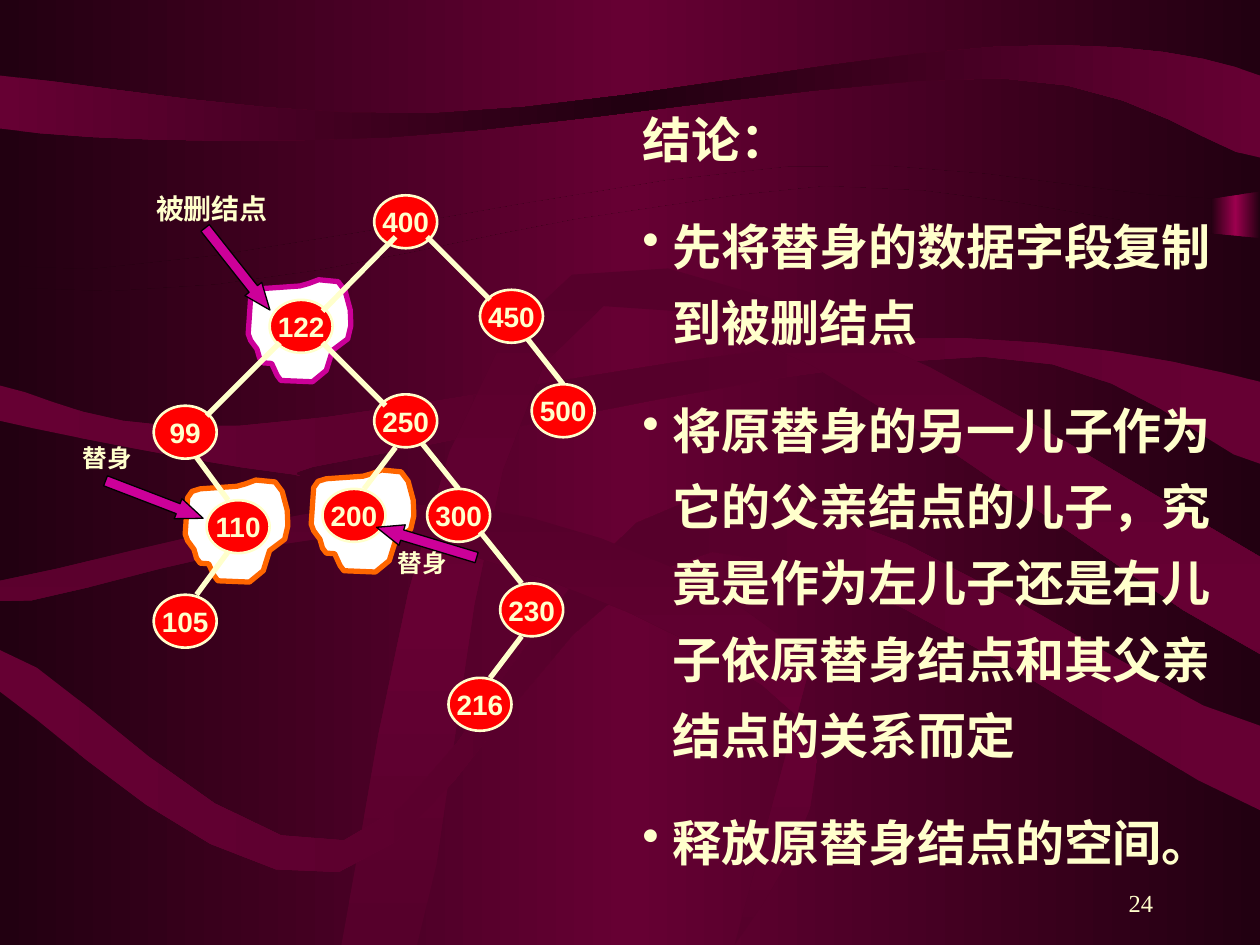
"""Build a slide on deleting a node with two sons from a binary search tree."""
import copy
from dataclasses import dataclass
from typing import NamedTuple, Optional

import lxml.etree
import pptx
import pptx.dml.color
import pptx.enum.shapes
import pptx.enum.text
import pptx.oxml.ns
import pptx.util

Inches = pptx.util.Inches
Pt = pptx.util.Pt
RGBColor = pptx.dml.color.RGBColor
Kind = pptx.enum.shapes.MSO_SHAPE
Align = pptx.enum.text.PP_ALIGN
Anchor = pptx.enum.text.MSO_ANCHOR
qn = pptx.oxml.ns.qn

DARK = RGBColor(0x22, 0x00, 0x11)
WINE = RGBColor(0x66, 0x00, 0x33)
PLUM = RGBColor(0x56, 0x00, 0x2B)
ROSE = RGBColor(0x9C, 0x00, 0x4E)
CREAM = RGBColor(0xFF, 0xFF, 0xCC)
RED = RGBColor(0xFF, 0x00, 0x00)
PINK = RGBColor(0xCC, 0x00, 0x99)
ORANGE = RGBColor(0xFF, 0x66, 0x00)
WHITE = RGBColor(0xFF, 0xFF, 0xFF)
BLACK = RGBColor(0x00, 0x00, 0x00)


@dataclass
class Band:
    """A background ribbon: its steps are line ends (2 numbers) or cubics (6)."""
    steps: list
    edge: RGBColor
    core: RGBColor
    angle: int = 0


class Cloud(NamedTuple):
    x: float
    y: float
    color: RGBColor


class Node(NamedTuple):
    key: str
    x: float
    y: float


class Edge(NamedTuple):
    x1: float
    y1: float
    x2: float
    y2: float


class Arrow(NamedTuple):
    x: float
    y: float
    turn: float


class Label(NamedTuple):
    text: str
    x: float
    y: float
    wide: float
    high: float
    size: int
    before: float
    face: str = "Arial"
    bold: bool = True
    align: Optional[Align] = None
    anchor: Anchor = Anchor.TOP


BANDS = [
    Band([(0, 0), (10, 0), (10, 1.52), (9.38, 1.74, 7.92, 1.22, 6.25, 1.32),
          (4.58, 1.42, 1.04, 2.33, 0, 2.11)], DARK, WINE),
    Band([(0, 2.28), (1.78, 2.45, 3.4, 1.94, 4.58, 1.74), (5.86, 1.55),
          (7.15, 1.27, 9.17, 1.89, 10, 1.89), (10, 7.5), (0, 7.5)], DARK, WINE),
    Band([(0, 0.6), (0, 1.02), (0.51, 1.1, 1.76, 1.15, 3.08, 1.09),
          (4.4, 1.02, 6.79, 0.6, 7.94, 0.62), (9.09, 0.65, 9.66, 1.25, 10, 1.25),
          (10, 0.6), (9.65, 0.46, 9.01, 0.32, 7.92, 0.37),
          (6.82, 0.42, 4.77, 0.86, 3.45, 0.9), (2.13, 0.94, 0.72, 0.66, 0, 0.6)], WINE, DARK),
    Band([(0, 3.06), (0, 3.34), (0.37, 3.43, 1.75, 3.7, 2.22, 3.75),
          (2.69, 3.8, 1.9, 3.79, 2.82, 3.64), (3.75, 3.48, 6.6, 2.82, 7.8, 2.83),
          (9, 2.83, 9.63, 3.65, 10, 3.68), (10, 3.03), (9.5, 2.9, 8.36, 2.63, 7.01, 2.69),
          (5.66, 2.74, 3.07, 3.32, 1.9, 3.38), (0.73, 3.44, 0.4, 3.13, 0, 3.06)], WINE, PLUM),
    Band([(2.71, 7.5), (2.91, 6.61, 3.32, 2.69, 4.54, 2.18), (5.75, 1.66, 9.09, 3.92, 10, 4.42),
          (10, 5.19), (9.13, 4.85, 5.91, 2.05, 4.79, 2.43),
          (3.68, 2.82, 3.66, 6.66, 3.31, 7.5)], PLUM, WINE, 90),
    Band([(0, 5.16), (0, 5.49), (0.45, 5.78, 1.74, 7.11, 2.69, 6.92),
          (3.63, 6.74, 4.43, 4.46, 5.65, 4.38), (6.87, 4.29, 9.27, 6.2, 10, 6.43),
          (10, 5.76), (9.38, 5.72, 6.91, 3.77, 5.62, 3.91),
          (4.41, 4.06, 3.67, 6.46, 2.73, 6.67), (1.79, 6.87, 0.45, 5.2, 0, 5.16)], WINE, PLUM),
    Band([(0, 4.61), (0, 4.77), (0.26, 4.89, 2.08, 4.13, 3.14, 4.28),
          (4.2, 4.44, 5.92, 5.18, 6.37, 5.72), (6.82, 6.25, 5.82, 7.5, 5.83, 7.5),
          (6.42, 5.32), (6.06, 4.74, 4.73, 4.13, 3.66, 4.01),
          (2.59, 3.89, 0.76, 4.48, 0, 4.61)], PLUM, WINE, 90),
]
PUFF = [(.12, .67), (.09, .63), (.07, .56), (.01, .47, .02, .51, 0, .44), (.02, .15),
        (.02, .11, .08, .08, .12, .08), (.41, .06), (.48, .04), (.56, .01),
        (.79, .03, .67, 0, .77, .1), (.81, .25), (.81, .33, .83, .42, .79, .48),
        (.67, .57), (.62, .73), (.51, .82), (.26, .81), (.23, .77),
        (.22, .75, .16, .57, .12, .67)]
CLOUDS = [Cloud(1.47, 3.8, ORANGE), Cloud(2.47, 3.72, ORANGE), Cloud(1.97, 2.21, PINK)]
BACK = [Edge(3.31, 3.47, 3.64, 3.88), Edge(4.14, 2.63, 4.47, 3.05)]
NODES = [Node("122", 2.14, 2.38), Node("250", 2.97, 3.13), Node("300", 3.39, 3.88),
         Node("110", 1.64, 3.97), Node("200", 2.56, 3.88), Node("99", 1.22, 3.22),
         Node("105", 1.22, 4.72), Node("230", 3.97, 4.63), Node("216", 3.56, 5.38),
         Node("400", 2.97, 1.55), Node("450", 3.81, 2.3), Node("500", 4.22, 3.05)]
FRONT = [Edge(2.22, 2.72, 1.64, 3.3), Edge(2.56, 2.72, 3.06, 3.22),
         Edge(3.14, 3.55, 2.89, 3.88), Edge(1.56, 3.63, 1.81, 3.97),
         Edge(1.81, 4.38, 1.56, 4.72), Edge(3.81, 4.22, 4.14, 4.63),
         Edge(4.14, 5.05, 3.89, 5.38), Edge(3.14, 1.88, 2.56, 2.47),
         Edge(3.39, 1.88, 3.89, 2.38)]
ARROWS = [Arrow(1.47, 2.05, 51.7), Arrow(0.81, 3.88, 21), Arrow(2.97, 4.22, 196.8)]
LABELS = [Label("24", 7.17, 6.83, 2.08, 0.5, 14, 8.8, "Times New Roman", False,
                Align.RIGHT, Anchor.BOTTOM),
          Label("被删结点", 1.14, 1.47, 1.33, 0.37, 16, 10),
          Label("替身", 0.56, 3.47, 0.75, 0.34, 14, 8.8),
          Label("替身", 3.06, 4.3, 0.75, 0.34, 14, 8.8)]
NOTES = Label("结论：\n先将替身的数据字段复制到被删结点\n"
              "将原替身的另一儿子作为它的父亲结点的儿子，究竟是作为左儿子还是右儿子"
              "依原替身结点和其父亲结点的关系而定\n释放原替身结点的空间。",
              5, 0.68, 4.8, 6.29, 28, 17.5)


def shade(fill, root, edge: RGBColor, core: RGBColor, angle: int = 0) -> None:
    fill.gradient()
    fill.gradient_angle = angle
    first = next(root.iter(qn("a:gs")))
    first.addnext(copy.deepcopy(first))
    for stop, place, color in zip(fill.gradient_stops, (0, 0.5, 1), (edge, core, edge)):
        stop.position = place
        stop.color.rgb = color


def trace(steps: list, count: int) -> list:
    dots = [steps[0]]
    for step in steps[1:]:
        if len(step) == 2:
            dots.append(step)
            continue
        ends = [dots[-1], step[:2], step[2:4], step[4:]]
        for i in range(1, count + 1):
            t = i / count
            parts = ((1 - t) ** 3, 3 * t * (1 - t) ** 2, 3 * t * t * (1 - t), t ** 3)
            dots.append(tuple(sum(w * p[k] for w, p in zip(parts, ends)) for k in (0, 1)))
    return dots


def outline(slide, steps: list, count: int, x: float = 0, y: float = 0):
    dots = [(Inches(x + a), Inches(y + b)) for a, b in trace(steps, count)]
    pen = slide.shapes.build_freeform(*dots[0])
    pen.add_line_segments(dots[1:], close=True)
    shape = pen.convert_to_shape()
    shape.shadow.inherit = False
    return shape


def paint(shape, fill: RGBColor, line: RGBColor, width: float) -> None:
    shape.shadow.inherit = False
    shape.fill.solid()
    shape.fill.fore_color.rgb = fill
    shape.line.color.rgb = line
    shape.line.width = Pt(width)


def style(part, size: int, face: str = "Arial", bold: bool = True) -> None:
    for run in part.runs:
        run.font.size, run.font.name, run.font.bold = Pt(size), face, bold
        run.font.color.rgb = CREAM


def draw_band(slide, band: Band) -> None:
    shape = outline(slide, band.steps, 6)
    shade(shape.fill, shape._element, band.edge, band.core, band.angle)
    shape.line.fill.background()


def draw_cloud(slide, cloud: Cloud) -> None:
    paint(outline(slide, PUFF, 2, cloud.x, cloud.y), WHITE, cloud.color, 3)


def draw_node(slide, node: Node) -> None:
    shape = slide.shapes.add_shape(Kind.OVAL, Inches(node.x), Inches(node.y),
                                   Inches(0.5), Inches(0.42))
    paint(shape, RED, CREAM, 1.5)
    frame = shape.text_frame
    frame.text, frame.word_wrap, frame.vertical_anchor = node.key, False, Anchor.MIDDLE
    frame.paragraphs[0].alignment = Align.CENTER
    style(frame.paragraphs[0], 16)


def draw_edge(slide, edge: Edge) -> None:
    line = slide.shapes.add_connector(pptx.enum.shapes.MSO_CONNECTOR.STRAIGHT,
                                      *(Inches(v) for v in edge))
    line.line.color.rgb = CREAM
    line.line.width = Pt(3)
    lxml.etree.SubElement(line._element.spPr, qn("a:effectLst"))


def draw_arrow(slide, arrow: Arrow) -> None:
    shape = slide.shapes.add_shape(Kind.RIGHT_ARROW, Inches(arrow.x), Inches(arrow.y),
                                   Inches(0.83), Inches(0.17))
    shape.adjustments[0], shape.adjustments[1] = 0.5, 1.25
    shape.rotation = arrow.turn
    paint(shape, PINK, BLACK, 0.75)


def draw_label(slide, label: Label):
    box = slide.shapes.add_textbox(Inches(label.x), Inches(label.y),
                                   Inches(label.wide), Inches(label.high))
    frame = box.text_frame
    frame.text, frame.word_wrap, frame.vertical_anchor = label.text, True, label.anchor
    for part in frame.paragraphs:
        part.alignment = label.align
        part.space_before = Pt(label.before)
        style(part, label.size, label.face, label.bold)
    return frame


def draw_notes(slide) -> None:
    for i, part in enumerate(draw_label(slide, NOTES).paragraphs):
        part.line_spacing = 1.3
        if i:
            props = part._p.get_or_add_pPr()
            props.set("marL", str(Inches(0.24)))
            props.set("indent", str(-Inches(0.24)))
            lxml.etree.SubElement(props, qn("a:buChar"), char="•")


def main() -> None:
    deck = pptx.Presentation()
    deck.slide_width, deck.slide_height = Inches(10), Inches(7.5)
    slide = deck.slides.add_slide(deck.slide_layouts[6])
    shade(slide.background.fill, slide._element, DARK, WINE)
    glow = slide.shapes.add_shape(Kind.RECTANGLE, Inches(9.61), Inches(0.49),
                                  Inches(0.39), Inches(3.45))
    glow.shadow.inherit = False
    shade(glow.fill, glow._element, DARK, ROSE)
    glow.line.fill.background()
    for draw, items in ((draw_band, BANDS), (draw_cloud, CLOUDS), (draw_edge, BACK),
                        (draw_node, NODES), (draw_edge, FRONT), (draw_arrow, ARROWS),
                        (draw_label, LABELS)):
        for item in items:
            draw(slide, item)
    draw_notes(slide)
    deck.save("out.pptx")


if __name__ == "__main__":
    main()
